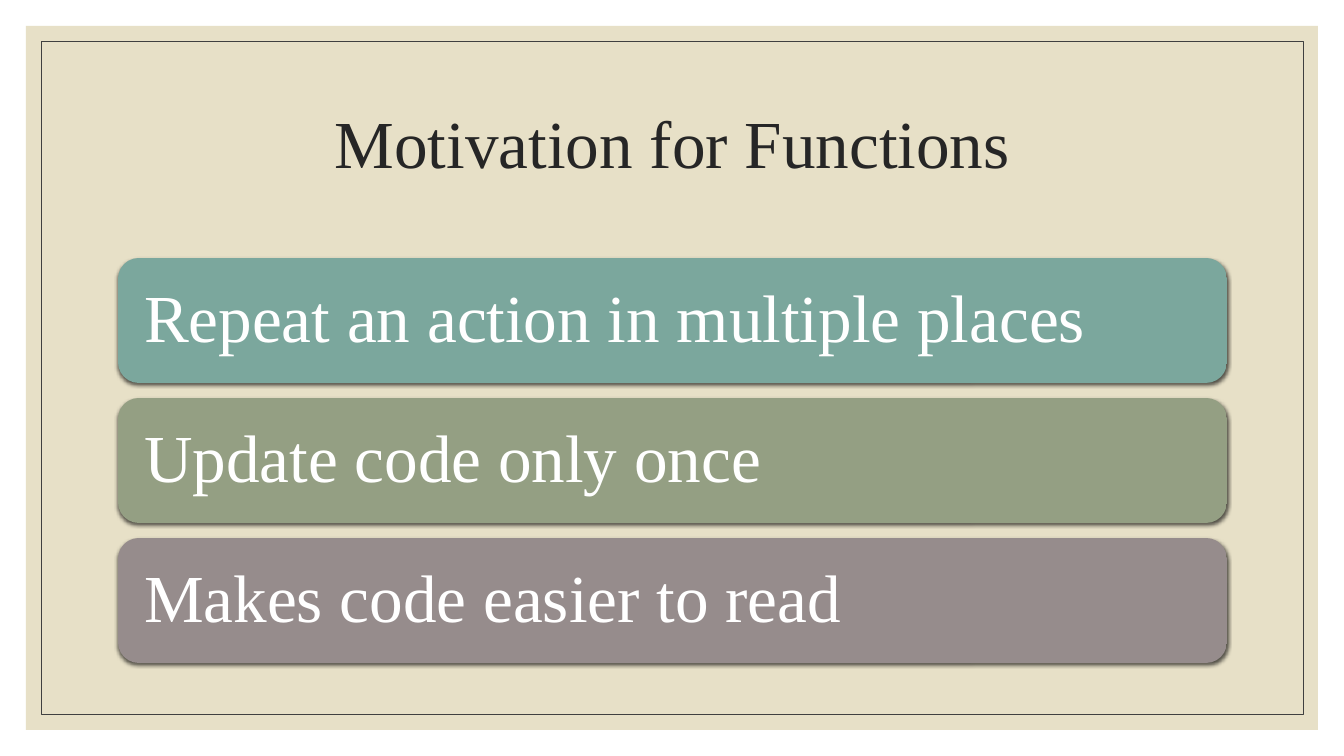
"""Build the "Motivation for Functions" slide: a framed title above three reason bars."""
from lxml.etree import SubElement
from pptx import Presentation
from pptx.dml.color import RGBColor
from pptx.enum.shapes import MSO_SHAPE as SHAPE
from pptx.enum.text import MSO_ANCHOR as ANCHOR, PP_ALIGN as ALIGN
from pptx.oxml.ns import qn
from pptx.util import Emu, Pt

PX = 914400 / 100.8
BAR_TOP, BAR_STEP, BAR_HEIGHT = 258, 140, 125
MARGIN_LEFT, CONTENT_WIDTH = 118, 1109
REASONS = [
    ("Repeat an action in multiple places", "7BA79D", "79A79C"),
    ("Update code only once", "949F83", "939E82"),
    ("Makes code easier to read", "968C8C", "958B8B"),
]


def px(*lengths):
    return [Emu(round(length * PX)) for length in lengths]


def rgb(value):
    return RGBColor.from_string(value)


presentation = Presentation()
presentation.slide_width, presentation.slide_height = px(1344, 756)
slide = presentation.slides.add_slide(presentation.slide_layouts[5])
title = slide.shapes.title

panel = slide.shapes.add_shape(SHAPE.RECTANGLE, *px(26, 26, 1292, 704))
panel.fill.solid()
panel.fill.fore_color.rgb = rgb("E7E0C7")
panel.line.fill.background()

frame = slide.shapes.add_shape(SHAPE.RECTANGLE, *px(41, 41, 1262, 673))
frame.fill.background()
frame.line.color.rgb = rgb("404040")
frame.line.width = Pt(0.5)

for shape in (panel, frame):
    shape.shadow.inherit = False
    title.element.addprevious(shape.element)

title.left, title.top, title.width, title.height = px(MARGIN_LEFT, 71, CONTENT_WIDTH, 151)
title.text_frame.text = "Motivation for Functions"
labels = [(title, ALIGN.CENTER, "262626")]

for index, (reason, top_color, bottom_color) in enumerate(REASONS):
    top = BAR_TOP + index * BAR_STEP
    bar = slide.shapes.add_shape(
        SHAPE.ROUNDED_RECTANGLE, *px(MARGIN_LEFT, top, CONTENT_WIDTH, BAR_HEIGHT))
    bar.fill.gradient()
    bar.fill.gradient_angle = 270
    for stop, color in zip(bar.fill.gradient_stops, (top_color, bottom_color)):
        stop.color.rgb = rgb(color)
    bar.line.fill.background()

    bar.shadow.inherit = False
    effects = bar.element.spPr.find(qn("a:effectLst"))
    shadow = SubElement(effects, qn("a:outerShdw"), blurRad=str(Pt(3)), dist=str(Pt(1)),
                        dir="5400000", algn="ctr", rotWithShape="0")
    shadow_color = SubElement(shadow, qn("a:srgbClr"), val="000000")
    SubElement(shadow_color, qn("a:alpha"), val="63000")

    bar.text_frame.text = reason
    bar.text_frame.margin_left, bar.text_frame.margin_right = px(20, 20)
    labels.append((bar, ALIGN.LEFT, "FFFFFF"))

for shape, alignment, color in labels:
    shape.text_frame.word_wrap = True
    shape.text_frame.vertical_anchor = ANCHOR.MIDDLE
    paragraph = shape.text_frame.paragraphs[0]
    paragraph.alignment = alignment
    paragraph.line_spacing = 0.9
    paragraph.font.name = "Times New Roman"
    paragraph.font.size = Pt(48)
    paragraph.font.color.rgb = rgb(color)

presentation.save("out.pptx")
